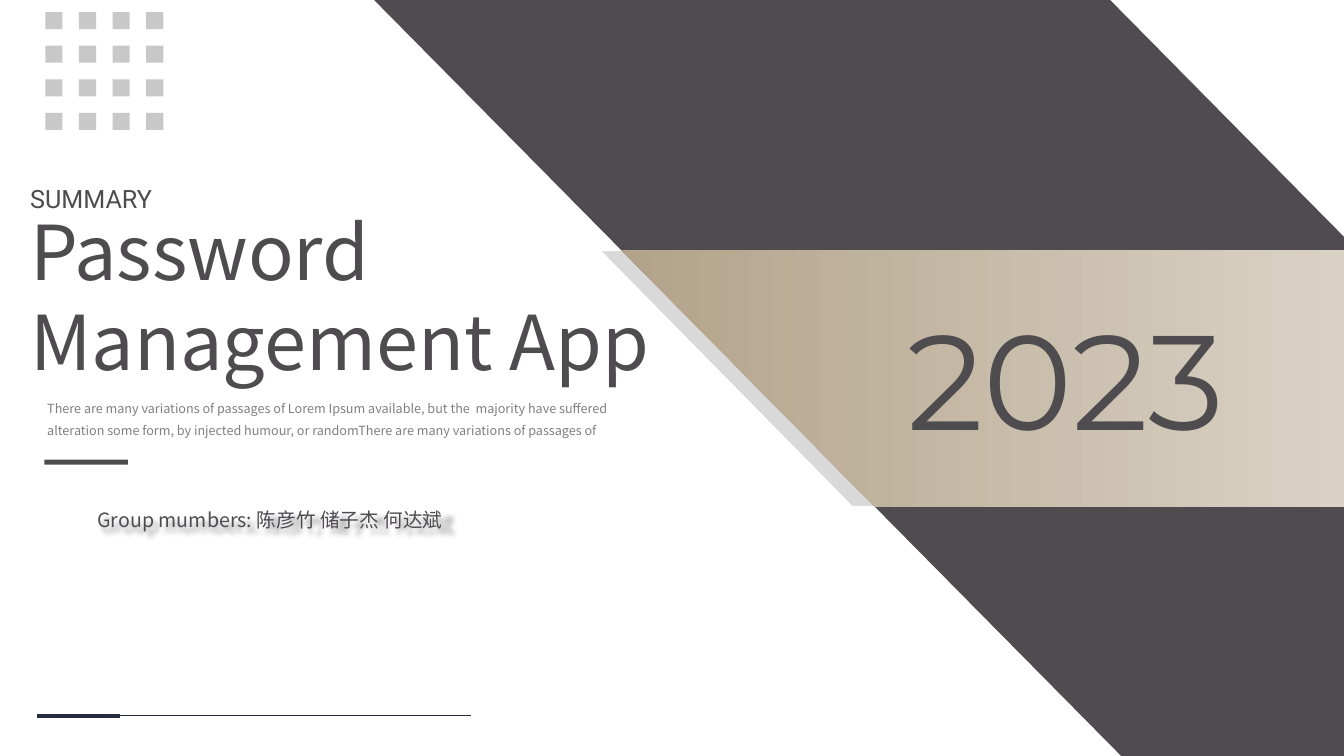
from dataclasses import dataclass

from lxml import etree
from pptx import Presentation
from pptx.dml.color import RGBColor
from pptx.enum import shapes, text
from pptx.oxml import ns
from pptx.util import Inches, Pt

INK = RGBColor(0x4E, 0x4C, 0x4F)
PANEL = RGBColor(0x50, 0x4B, 0x4F)
GREY = RGBColor(0x80, 0x80, 0x80)
LIGHT_GREY = RGBColor(0xD9, 0xD9, 0xD9)
WHITE = RGBColor(0xFF, 0xFF, 0xFF)
NAVY = RGBColor(0x27, 0x2D, 0x41)
SAND_DARK = RGBColor(0xB3, 0xA3, 0x8A)
SAND_LIGHT = RGBColor(0xDA, 0xD2, 0xC5)
CJK_FONT = "Noto Sans CJK SC"


@dataclass
class Polygon:
    points: list[tuple[float, float]]
    fill: RGBColor | None = None
    line: RGBColor | None = None


@dataclass
class Rule:
    x1: float
    x2: float
    width: float


@dataclass
class Label:
    box: tuple[float, float, float, float]
    words: str
    size: float
    font: str = CJK_FONT
    color: RGBColor = INK
    align: text.PP_ALIGN = text.PP_ALIGN.LEFT
    spacing: float = 1.0
    wrap: bool = True


SHADOW_BAND = Polygon([(5.94, 2.48), (13.11, 2.48), (13.11, 5.03), (8.45, 5.03)],
                      LIGHT_GREY, WHITE)
DARK_PANEL = Polygon([(3.71, 0), (11.01, 0), (13.33, 2.35), (13.33, 7.5), (11.12, 7.5)], PANEL)
SAND_BAND = Polygon([(6.16, 2.48), (13.33, 2.48), (13.33, 5.03), (8.68, 5.03)])

LABELS = [
    Label((8.69, 2.89, 3.76, 1.72), "2023", 96, "Montserrat",
          align=text.PP_ALIGN.CENTER, wrap=False),
    Label((0.2, 1.98, 6.55, 1.92), "Password Management App", 54),
    Label((0.37, 3.85, 6.11, 0.53),
          "There are many variations of passages of Lorem Ipsum available, but the  majority "
          "have suffered alteration some form, by injected humour, or randomThere are many "
          "variations of passages of", 9, color=GREY, spacing=1.5),
    Label((0.2, 1.62, 4.71, 0.49), "SUMMARY", 18, "Roboto",
          align=text.PP_ALIGN.JUSTIFY, spacing=1.5),
]
FOOTER_RULES = [Rule(1.19, 0.37, 3), Rule(4.67, 1.18, 1)]
FOOTER_Y = 7.1
GRID_COUNT, GRID_PITCH, GRID_SIDE = 4, 1 / 3, 0.17
GRID_LEFT, GRID_TOP = 0.45, 0.12


def write(tf, words: str, *, size: float, font: str = CJK_FONT, color: RGBColor = INK,
          align=text.PP_ALIGN.LEFT, spacing: float = 1.0, wrap: bool = True) -> None:
    tf.word_wrap = wrap
    p = tf.paragraphs[0]
    p.alignment, p.line_spacing = align, spacing
    r = p.add_run()
    r.text = words
    r.font.size, r.font.name = Pt(size), font
    r.font.color.rgb = color
    etree.SubElement(r.font._element, ns.qn("a:ea"), typeface=font)


def add_label(slide, label: Label) -> None:
    tf = slide.shapes.add_textbox(*map(Inches, label.box)).text_frame
    write(tf, label.words, size=label.size, font=label.font, color=label.color,
          align=label.align, spacing=label.spacing, wrap=label.wrap)
    tf.auto_size = text.MSO_AUTO_SIZE.SHAPE_TO_FIT_TEXT


def add_polygon(slide, polygon: Polygon):
    start, *rest = [(Inches(x), Inches(y)) for x, y in polygon.points]
    builder = slide.shapes.build_freeform(*start)
    builder.add_line_segments(rest, close=True)
    sp = builder.convert_to_shape()
    sp.shadow.inherit = False
    if polygon.fill is not None:
        sp.fill.solid()
        sp.fill.fore_color.rgb = polygon.fill
    if polygon.line is None:
        sp.line.fill.background()
    else:
        sp.line.color.rgb = polygon.line
        sp.line.width = Pt(1.5)
    return sp


def add_sand_band(slide) -> None:
    fill = add_polygon(slide, SAND_BAND).fill
    fill.gradient()
    fill.gradient_angle = 0
    for stop, position, color in zip(fill.gradient_stops, (0.01, 1), (SAND_DARK, SAND_LIGHT)):
        stop.position = position
        stop.color.rgb = color


def add_block(parent, left: float, top: float, width: float, height: float,
              alpha: int = 100) -> None:
    """Add an ink rectangle; alpha is its opacity in percent."""
    sp = parent.shapes.add_shape(shapes.MSO_SHAPE.RECTANGLE,
                                 *map(Inches, (left, top, width, height)))
    sp.shadow.inherit = False
    sp.fill.solid()
    sp.fill.fore_color.rgb = INK
    sp.line.fill.background()
    if alpha < 100:
        color = sp.element.spPr.find(ns.qn("a:solidFill"))[0]
        etree.SubElement(color, ns.qn("a:alpha"), val=str(alpha * 1000))


def add_members(slide) -> None:
    """Add the line of group members, whose text casts a soft shadow."""
    sp = slide.shapes.add_shape(shapes.MSO_SHAPE.ROUNDED_RECTANGLE,
                                *map(Inches, (0.8, 4.92, 3.87, 0.47)))
    sp.adjustments[0] = 0.5
    sp.fill.background()
    sp.line.fill.background()
    sp.shadow.inherit = False
    effects = sp.element.spPr.find(ns.qn("a:effectLst"))
    shadow = etree.SubElement(effects, ns.qn("a:outerShdw"), blurRad=str(Inches(0.05)),
                              dist=str(Inches(0.06)), dir="2700000", sx="102000",
                              sy="102000", algn="tl", rotWithShape="0")
    color = etree.SubElement(shadow, ns.qn("a:srgbClr"), val="000000")
    etree.SubElement(color, ns.qn("a:alpha"), val="40000")
    sp.text_frame.vertical_anchor = text.MSO_ANCHOR.MIDDLE
    write(sp.text_frame, "Group mumbers: 陈彦竹 储子杰 何达斌", size=14)


def add_rule(parent, rule: Rule) -> None:
    y = Inches(FOOTER_Y)
    line = parent.shapes.add_connector(shapes.MSO_CONNECTOR.STRAIGHT,
                                       Inches(rule.x1), y, Inches(rule.x2), y)
    line.line.color.rgb = NAVY
    line.line.width = Pt(rule.width)
    etree.SubElement(line.element.spPr, ns.qn("a:effectLst"))


def main() -> None:
    prs = Presentation()
    prs.slide_width, prs.slide_height = Inches(13.33), Inches(7.5)
    s = prs.slides.add_slide(prs.slide_layouts[6])

    add_polygon(s, SHADOW_BAND)
    add_polygon(s, DARK_PANEL)
    add_sand_band(s)
    *body, summary = LABELS
    for label in body:
        add_label(s, label)
    add_block(s, 0.44, 4.56, 0.83, 0.05)
    add_members(s)
    add_label(s, summary)

    grid = s.shapes.add_group_shape()
    for row in range(GRID_COUNT):
        for col in range(GRID_COUNT):
            add_block(grid, GRID_LEFT + col * GRID_PITCH, GRID_TOP + row * GRID_PITCH,
                      GRID_SIDE, GRID_SIDE, alpha=30)

    footer = s.shapes.add_group_shape()
    for rule in FOOTER_RULES:
        add_rule(footer, rule)

    prs.save("out.pptx")


if __name__ == "__main__":
    main()
